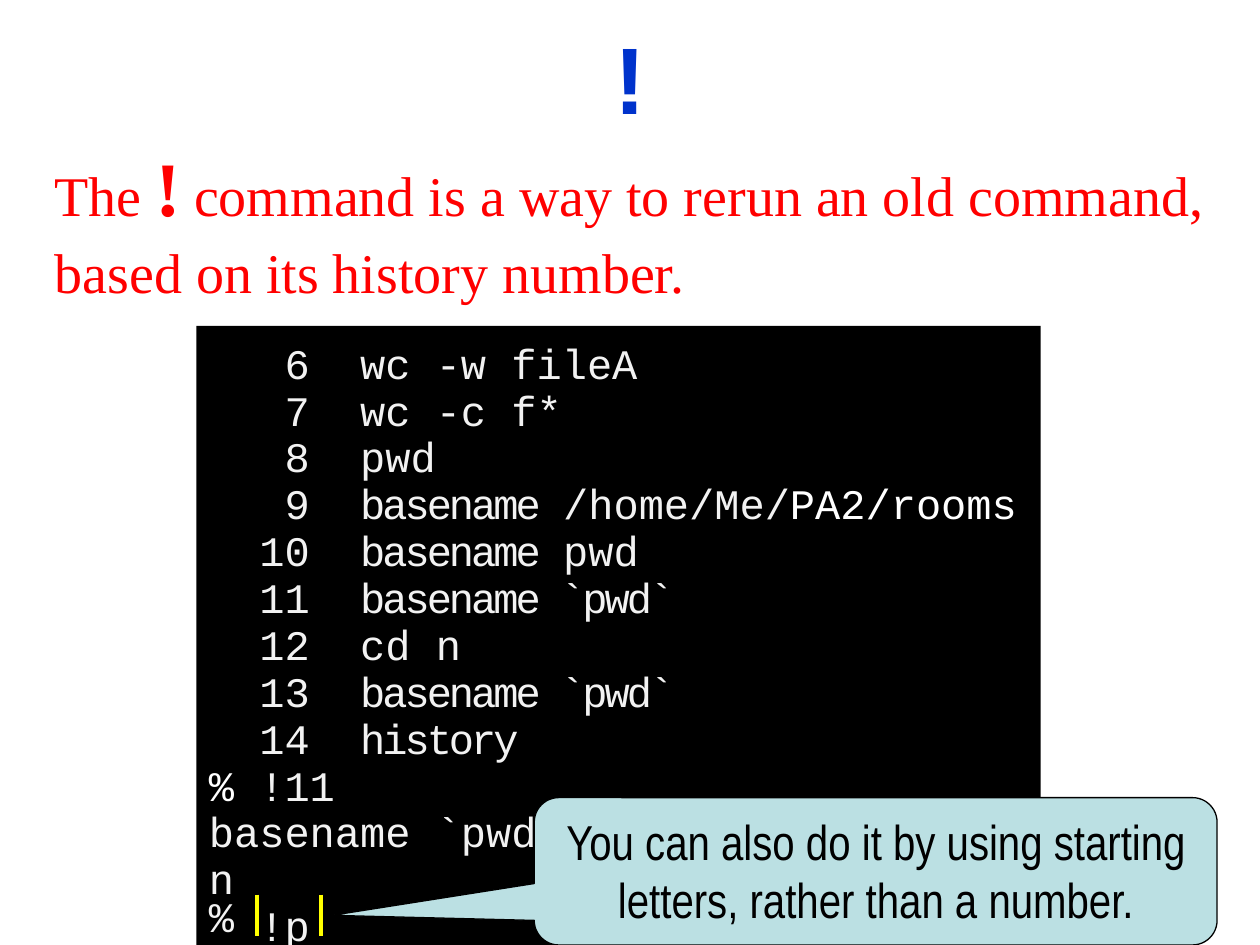
"""Build a slide explaining how the ! command reruns an entry of the shell history."""
from dataclasses import dataclass

from lxml.etree import SubElement
from pptx import Presentation
from pptx.dml.color import RGBColor
from pptx.enum.shapes import MSO_CONNECTOR, MSO_SHAPE
from pptx.enum.text import MSO_ANCHOR, MSO_AUTO_SIZE, PP_ALIGN
from pptx.oxml.ns import qn
from pptx.util import Pt

COLORS = {
    "title": "0033CC",
    "statement": "FF0000",
    "terminal": "000000",
    "output": "F2F2F2",
    "white": "FFFFFF",
    "marker": "FFFF00",
    "callout": "BBE0E3",
    "ink": "000000",
}
CODE_FONT = "Courier New"
CODE_SIZE = 24
TIGHT = -1.7


@dataclass(frozen=True)
class Box:
    left: float
    top: float
    width: float
    height: float

    def lengths(self) -> tuple:
        return Pt(self.left), Pt(self.top), Pt(self.width), Pt(self.height)


@dataclass(frozen=True)
class Span:
    text: str
    font: str = CODE_FONT
    size: float = CODE_SIZE
    color: str = "output"
    bold: bool = False
    spacing: float = 0


def tight(text: str) -> Span:
    return Span(text, spacing=TIGHT)


def statement(text: str, font: str = "Times New Roman", size: float = 32, bold: bool = False) -> Span:
    return Span(text, font, size, "statement", bold)


STATEMENT_LINES = [
    [
        statement("The "),
        statement("!", size=44, bold=True),
        statement(" ", "Noto Sans", 28),
        statement("command is a way to rerun an old command,"),
    ],
    [statement("based on its history number.")],
]

TERMINAL_LINES = [
    [Span("   6  wc -w fileA")],
    [Span("   7  wc -c f*")],
    [Span("   8  pwd")],
    [Span("   9  "), tight("basename "), Span("/home/Me/"), Span("PA2/rooms", color="white")],
    [Span("  10  "), tight("basename "), Span("pwd")],
    [Span("  11  "), tight("basename `pwd`")],
    [Span("  12  cd n")],
    [Span("  13  "), tight("basename `pwd`")],
    [Span("  14  "), tight("history")],
    [Span("%", color="white"), Span(" !11")],
    [Span("basename `pwd`")],
    [Span("n")],
    [Span("  !p")],
]


def rgb(name: str) -> RGBColor:
    return RGBColor.from_string(COLORS[name])


def add_spans(paragraph, spans: list[Span]) -> None:
    for span in spans:
        run = paragraph.add_run()
        run.text = span.text
        run.font.name = span.font
        run.font.size = Pt(span.size)
        run.font.bold = span.bold
        run.font.color.rgb = rgb(span.color)
        if span.spacing:
            run.font._element.set("spc", str(round(span.spacing * 100)))


def fill_lines(text_frame, lines: list[list[Span]]) -> list:
    for index, spans in enumerate(lines):
        paragraph = text_frame.paragraphs[0] if index == 0 else text_frame.add_paragraph()
        add_spans(paragraph, spans)
    return list(text_frame.paragraphs)


def place(shape, box: Box) -> None:
    shape.left, shape.top, shape.width, shape.height = box.lengths()


def add_filled_shape(slide, preset: MSO_SHAPE, box: Box, color: str):
    shape = slide.shapes.add_shape(preset, *box.lengths())
    shape.shadow.inherit = False
    shape.fill.solid()
    shape.fill.fore_color.rgb = rgb(color)
    shape.line.fill.background()
    shape.text_frame.word_wrap = True
    shape.text_frame.vertical_anchor = MSO_ANCHOR.TOP
    return shape


def add_title(slide) -> None:
    title = slide.shapes.title
    place(title, Box(36, 0, 648, 88))
    title.text_frame.vertical_anchor = MSO_ANCHOR.MIDDLE
    paragraph = title.text_frame.paragraphs[0]
    paragraph.alignment = PP_ALIGN.CENTER
    add_spans(paragraph, [Span("!", "Arial", 54, "title", True)])


def add_statement(slide) -> None:
    body = slide.placeholders[1]
    place(body, Box(24, 76, 672, 110))
    body.text_frame.auto_size = MSO_AUTO_SIZE.NONE
    first, second = fill_lines(body.text_frame, STATEMENT_LINES)
    for paragraph in (first, second):
        properties = paragraph._p.get_or_add_pPr()
        properties.set("marL", "0")
        properties.set("indent", "0")
        SubElement(properties, qn("a:buNone"))
    first.space_before = Pt(0)
    second.space_before = Pt(9)
    second.line_spacing = 0.85


def add_terminal(slide) -> None:
    terminal = add_filled_shape(slide, MSO_SHAPE.RECTANGLE, Box(112.3, 186.3, 482.4, 353.7), "terminal")
    terminal.text_frame.margin_top = Pt(8.4)
    terminal.text_frame.margin_bottom = Pt(0)
    for paragraph in fill_lines(terminal.text_frame, TERMINAL_LINES):
        paragraph.alignment = PP_ALIGN.LEFT
        paragraph.line_spacing = Pt(26.8)


def add_prompt(slide) -> None:
    prompt = slide.shapes.add_textbox(*Box(112.3, 505.4, 23, 36).lengths())
    prompt.text_frame.word_wrap = False
    add_spans(prompt.text_frame.paragraphs[0], [Span("%")])


def add_marker(slide, x: float) -> None:
    marker = slide.shapes.add_connector(MSO_CONNECTOR.STRAIGHT, Pt(x), Pt(511.2), Pt(x), Pt(534.6))
    marker.line.color.rgb = rgb("marker")
    marker.line.width = Pt(2.25)
    SubElement(marker._element.spPr, qn("a:effectLst"))


def add_callout(slide) -> None:
    callout = add_filled_shape(
        slide, MSO_SHAPE.ROUNDED_RECTANGULAR_CALLOUT, Box(305.3, 455.8, 390.2, 84.2), "callout"
    )
    for index, value in enumerate((-0.796, 0.299, 0.167)):
        callout.adjustments[index] = value
    callout.line.color.rgb = rgb("ink")
    callout.line.width = Pt(0.75)
    paragraph = callout.text_frame.paragraphs[0]
    paragraph.alignment = PP_ALIGN.CENTER
    text = "You can also do it by using starting letters, rather than a number."
    add_spans(paragraph, [Span(text, "Arial Narrow", 28, "ink")])


def main() -> None:
    presentation = Presentation()
    presentation.slide_width, presentation.slide_height = Pt(720), Pt(540)
    slide = presentation.slides.add_slide(presentation.slide_layouts[1])
    add_title(slide)
    add_statement(slide)
    add_terminal(slide)
    add_prompt(slide)
    for x in (146.9, 183.6):
        add_marker(slide, x)
    add_callout(slide)
    presentation.save("out.pptx")


if __name__ == "__main__":
    main()
